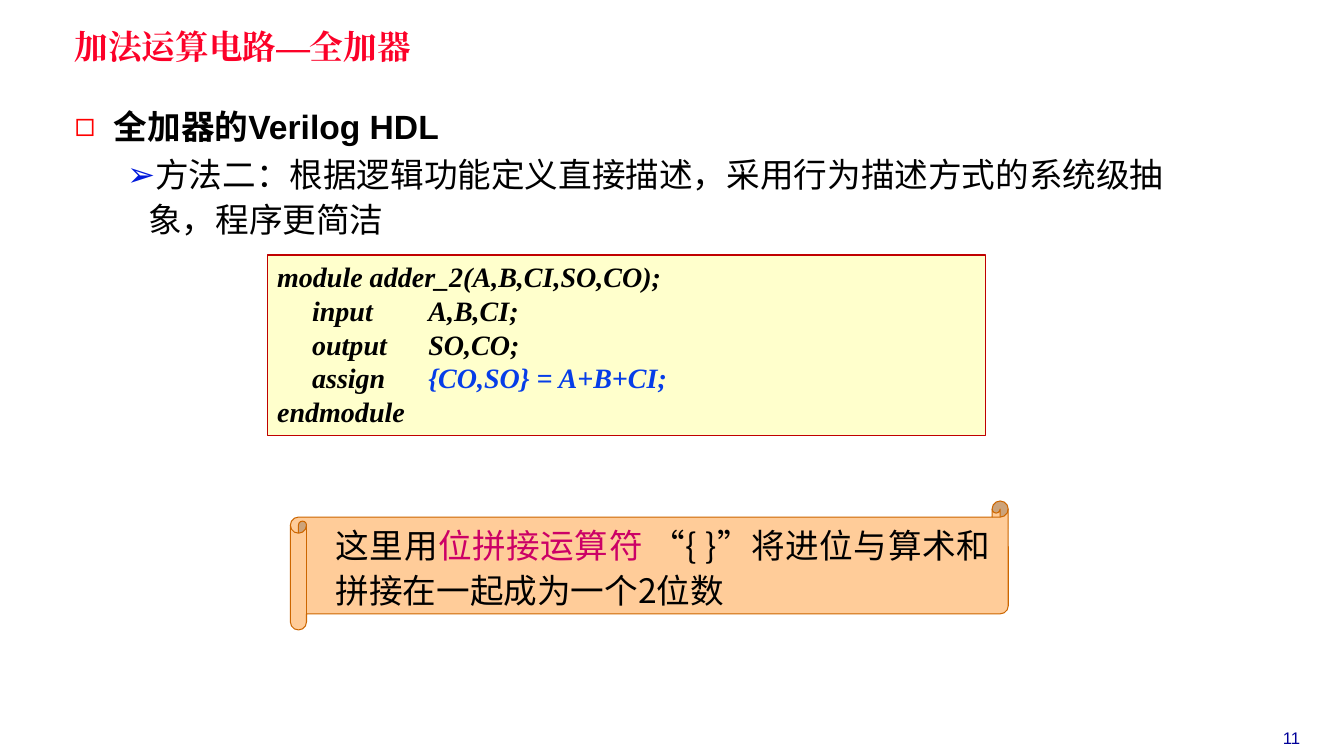
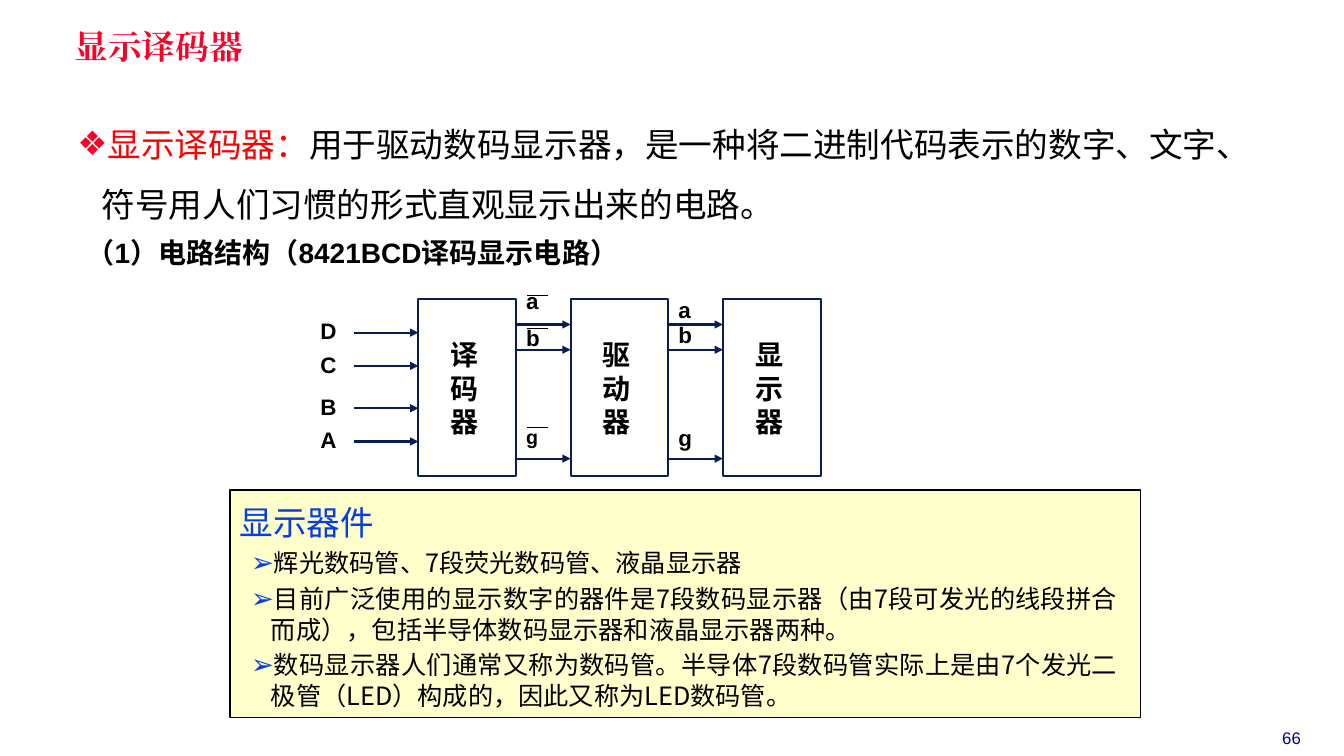
from pptx import Presentation, util as u
from pptx.dml.color import RGBColor
from pptx.enum import shapes, text
from lxml import etree
from pptx.oxml.ns import qn

SCALE = 9144
BLACK, RED, BLUE, NAVY, CREAM = "000000", "FC0128", "063DE8", "081D58", "FFFFCC"
SANS, SERIF, CJK = "Arial", "Times New Roman", "Noto Sans CJK SC"
JUSTIFY, CENTER = text.PP_ALIGN.JUSTIFY, text.PP_ALIGN.CENTER
TIGHT = (7, 3, 7, 3)
NORMAL = (10, 5, 10, 5)

TITLE_STYLE = dict(size=24, name=SERIF, color=RED, bold=True)
NUMBER_STYLE = dict(size=12, name=SANS, color="000099")
HEADING = dict(size=24, name=SANS, color=BLACK, bold=True)
BODY = dict(size=24, name=CJK, color=BLACK)
CODE = dict(size=20, name=SERIF, color=BLACK, bold=True, italic=True)
CAPTION = dict(size=20, name=SANS, color=BLACK, bold=True)
SIGNAL = dict(size=16, name=SANS, color=BLACK, bold=True)
ITEM = dict(size=18, name=CJK, color=BLACK)

ADDER_POINTS = [
    dict(runs=[("全加器的Verilog HDL", HEADING)], spacing=1.1,
         bullet=("◻", "FF0000", 100), margin=39, indent=-39),
    dict(runs=[("方法二：根据逻辑功能定义直接描述，采用行为描述方式的系统级抽象，程序更简洁", BODY)],
         spacing=1.1, before=3, bullet=("➢", "001ADC", 100), margin=73, indent=-21),
]
ADDER_CODE = [
    [("module adder_2(A,B,CI,SO,CO);", CODE)],
    [("     input \tA,B,CI;", CODE)],
    [("     output \tSO,CO;", CODE)],
    [("     assign \t", CODE), ("{CO,SO} = A+B+CI;", dict(CODE, color=BLUE))],
    [("endmodule", CODE)],
]
CONCATENATION = [dict(
    runs=[("这里用", BODY), ("位拼接运算符", dict(BODY, color="CC0066")),
          (" “{ }”将进位与算术和拼接在一起成为一个2位数", BODY)],
    align=JUSTIFY, spacing=1.1, margin=19)]

DECODER_DEFINITION = [dict(
    runs=[("显示译码器：", dict(BODY, color="FF0000")),
          ("用于驱动数码显示器，是一种将二进制代码表示的数字、文字、符号用人们习惯的形式直观显示出来的电路。", BODY)],
    spacing=1.5, bullet=("❖", RED, 100), margin=24, indent=-24)]
STRUCTURE = "（1）电路结构（8421BCD译码显示电路）"
MODULES = ["译码器", "驱动器", "显示器"]
INPUTS = [("D", 330), ("C", 363), ("B", 405), ("A", 438)]
SEGMENT_ROWS = [322, 347, 455]
BARRED = [("a", 288, 16, 293), ("b", 325, 16, 326), ("g", 424, 14, 424)]
DRIVEN = [("a", 297), ("b", 322), ("g", 424)]
DEVICE_TITLE = "显示器件"
DEVICES = [
    "辉光数码管、7段荧光数码管、液晶显示器",
    "目前广泛使用的显示数字的器件是7段数码显示器（由7段可发光的线段拼合而成），包括半导体数码显示器和液晶显示器两种。",
    "数码显示器人们通常又称为数码管。半导体7段数码管实际上是由7个发光二极管（LED）构成的，因此又称为LED数码管。",
]


def px(length):
    return u.Emu(round(length * SCALE))


def rgb(value):
    return RGBColor.from_string(value)


def child(parent, tag, **attributes):
    return etree.SubElement(parent, qn(tag), {k: str(v) for k, v in attributes.items()})


def add_run(paragraph, words, style):
    run = paragraph.add_run()
    run.text = words
    for key, value in style.items():
        if key == "color":
            run.font.color.rgb = rgb(value)
        else:
            setattr(run.font, key, u.Pt(value) if key == "size" else value)
    child(run.font._element, "a:ea", typeface=style["name"])


def write(shape, paragraphs, insets=NORMAL, anchor=text.MSO_ANCHOR.TOP):
    frame = shape.text_frame
    frame.word_wrap = True
    frame.vertical_anchor = anchor
    for side, inset in zip(("left", "top", "right", "bottom"), insets):
        setattr(frame, "margin_" + side, px(inset))
    for i, spec_of in enumerate(paragraphs):
        paragraph = frame.add_paragraph() if i else frame.paragraphs[0]
        properties = paragraph._p.get_or_add_pPr()
        properties.set("marL", str(px(spec_of.get("margin", 0))))
        properties.set("indent", str(px(spec_of.get("indent", 0))))
        if "bullet" in spec_of:
            mark, color, percent = spec_of["bullet"]
            child(child(properties, "a:buClr"), "a:srgbClr", val=color)
            child(properties, "a:buSzPct", val=percent * 1000)
            child(properties, "a:buFont", typeface=SANS)
            child(properties, "a:buChar", char=mark)
        if "tab" in spec_of:
            child(child(properties, "a:tabLst"), "a:tab", pos=px(spec_of["tab"]), algn="l")
        paragraph.alignment = spec_of.get("align", text.PP_ALIGN.LEFT)
        paragraph.line_spacing = spec_of.get("spacing", 1.0)
        paragraph.space_before = u.Pt(spec_of.get("before", 0))
        for words, style in spec_of["runs"]:
            add_run(paragraph, words, style)


def add_text(slide, box, paragraphs, insets=NORMAL):
    write(slide.shapes.add_textbox(*map(px, box)), paragraphs, insets)


def add_label(slide, box, words, style, **layout):
    add_text(slide, box, [dict(runs=[(words, style)], **layout)])


def add_panel(slide, box, line, weight, fill=None, kind=shapes.MSO_SHAPE.RECTANGLE):
    panel = slide.shapes.add_shape(kind, *map(px, box))
    panel.shadow.inherit = False
    if fill:
        panel.fill.solid()
        panel.fill.fore_color.rgb = rgb(fill)
    else:
        panel.fill.background()
    panel.line.color.rgb = rgb(line)
    panel.line.width = u.Pt(weight)
    return panel


def add_line(slide, left, right, y, color=NAVY, weight=1.5, arrow=True):
    line = slide.shapes.add_connector(
        shapes.MSO_CONNECTOR.STRAIGHT, px(left), px(y), px(right), px(y))
    line.line.color.rgb = rgb(color)
    line.line.width = u.Pt(weight)
    if arrow:
        child(line.line._get_or_add_ln(), "a:tailEnd", type="triangle")
    child(line._element.spPr, "a:effectLst")


def add_page(deck, title, number):
    slide = deck.slides.add_slide(deck.slide_layouts[6])
    add_label(slide, (1234, 717, 94, 30), number, NUMBER_STYLE, align=CENTER)
    add_text(slide, (67, 28, 575, 41),
             [dict(runs=[(title, TITLE_STYLE)], spacing=0.87)], TIGHT)
    return slide


def build_adder(deck):
    slide = add_page(deck, "加法运算电路—全加器", "11")
    add_text(slide, (67, 98, 1112, 143), ADDER_POINTS, TIGHT)
    listing = add_panel(slide, (265, 253, 712, 179), "C00000", 0.75, CREAM)
    write(listing, [dict(runs=runs, tab=200) for runs in ADDER_CODE])
    scroll = add_panel(slide, (288, 497, 712, 128), "CC6600", 0.75, "FFCC99",
                       shapes.MSO_SHAPE.HORIZONTAL_SCROLL)
    write(scroll, CONCATENATION, anchor=text.MSO_ANCHOR.MIDDLE)


def build_circuit(slide):
    first, step, width, top, height = 415, 151, 97, 297, 175
    lefts = [first + step * i for i in range(len(MODULES))]
    for left, name in zip(lefts, MODULES):
        add_panel(slide, (left, top, width, height), NAVY, 1.5)
        add_label(slide, (left + 22, 330, 65, 110), name, CAPTION, align=JUSTIFY)
    for signal, y in INPUTS:
        add_line(slide, 351, first, y)
        add_label(slide, (308, y - 20, 54, 37), signal, SIGNAL)
    for left, following in zip(lefts, lefts[1:]):
        for y in SEGMENT_ROWS:
            add_line(slide, left + width, following, y)
    for signal, y, size, bar in BARRED:
        left = lefts[0] + width
        add_label(slide, (left, y, 54, 28), signal, dict(SIGNAL, size=size), spacing=0.64)
        add_line(slide, left + 11, left + 32, bar, BLACK, 0.75, arrow=False)
    for signal, y in DRIVEN:
        add_label(slide, (lefts[1] + width, y, 54, 28), signal, SIGNAL, spacing=0.64)


def build_decoder(deck):
    slide = add_page(deck, "显示译码器", "66")
    add_label(slide, (76, 229, 1000, 43), STRUCTURE, CAPTION, align=JUSTIFY)
    build_circuit(slide)
    add_panel(slide, (228, 486, 903, 226), BLACK, 1, CREAM)
    heading = dict(runs=[(DEVICE_TITLE, dict(BODY, color=BLUE))], align=JUSTIFY)
    items = [dict(runs=[(words, ITEM)], align=JUSTIFY, before=4,
                  bullet=("➢", BLUE, 110), margin=31, indent=-20) for words in DEVICES]
    add_text(slide, (228, 493, 890, 220), [heading] + items)
    add_text(slide, (67, 98, 1190, 119), DECODER_DEFINITION)


def main():
    deck = Presentation()
    deck.slide_width, deck.slide_height = u.Inches(13.33), u.Inches(7.5)
    build_adder(deck)
    build_decoder(deck)
    deck.save("out.pptx")


if __name__ == "__main__":
    main()
